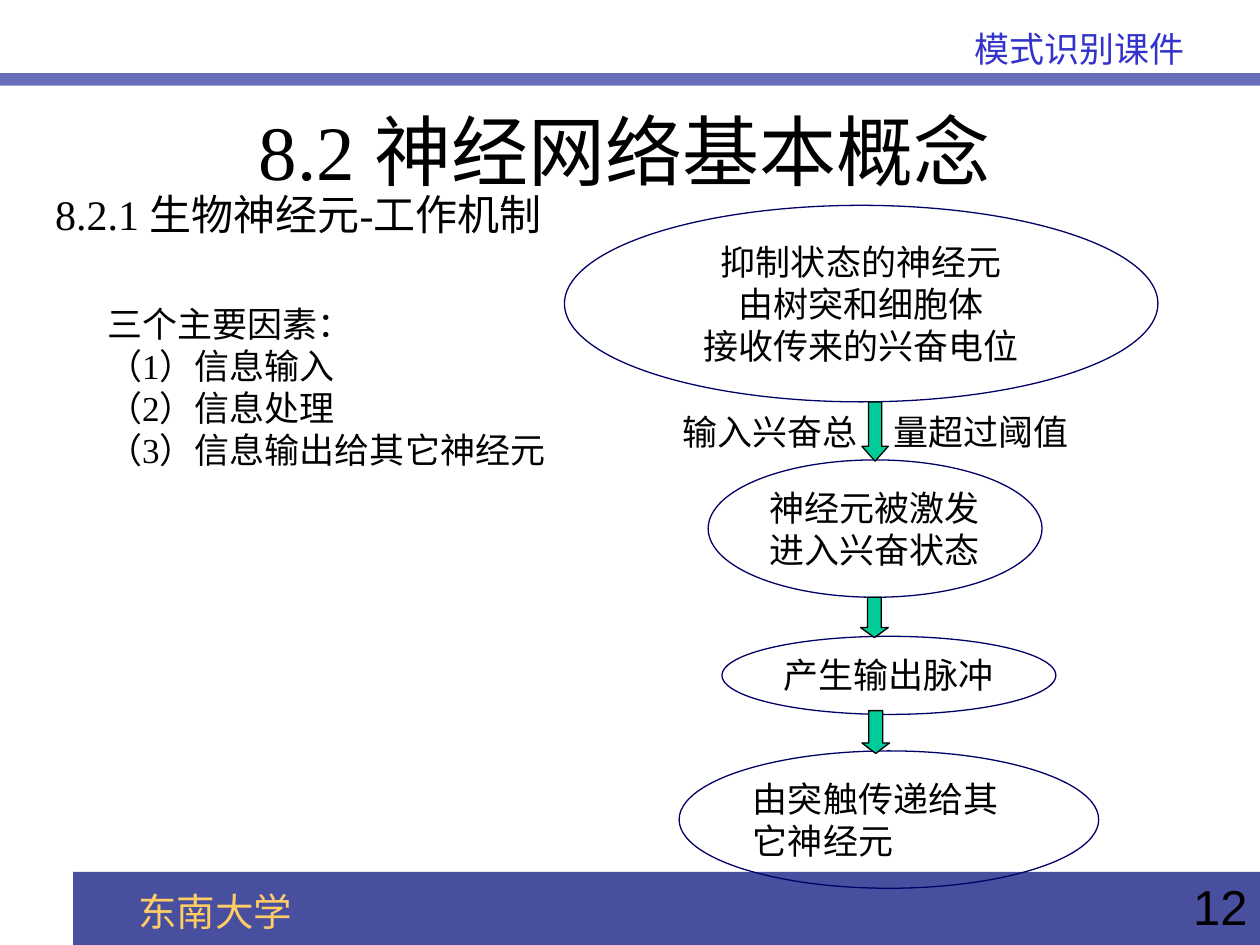
import pptx
import pptx.util
import pptx.dml.color
import pptx.enum.shapes
import pptx.enum.text
from pptx.util import Inches

RGBColor = pptx.dml.color.RGBColor
SHAPE = pptx.enum.shapes.MSO_SHAPE
ALIGN = pptx.enum.text.PP_ALIGN
ANCHOR = pptx.enum.text.MSO_ANCHOR

BLACK = RGBColor(0x00, 0x00, 0x00)
NAVY = RGBColor(0x00, 0x00, 0x66)
GREEN = RGBColor(0x00, 0xCC, 0x99)
FOOTER_BLUE = RGBColor(0x49, 0x4F, 0x9F)
HEADER_BLUE = RGBColor(0x68, 0x6E, 0xBA)
COURSE_BLUE = RGBColor(0x33, 0x33, 0xCC)
GOLD = RGBColor(0xFF, 0xCC, 0x66)


def write(shape, lines, size, font="Times New Roman", color=BLACK,
          align=ALIGN.LEFT, anchor=ANCHOR.TOP, wrap=True):
    """Fill a shape's text frame, one paragraph per line."""
    frame = shape.text_frame
    frame_format = {"auto_size": pptx.enum.text.MSO_AUTO_SIZE.NONE,
                    "word_wrap": wrap, "vertical_anchor": anchor}
    for name, value in frame_format.items():
        setattr(frame, name, value)
    frame.text = "\n".join(lines)
    for paragraph in frame.paragraphs:
        paragraph.alignment = align
        paragraph.space_before = pptx.util.Pt(0)
        for run in paragraph.runs:
            run_format = {"name": font, "size": pptx.util.Pt(size)}
            for name, value in run_format.items():
                setattr(run.font, name, value)
            run.font.color.rgb = color


def draw(kind, box, fill=None, line=None):
    """Add a preset shape without shadow; None means no fill or no line."""
    shape = slide.shapes.add_shape(kind, *map(Inches, box))
    shape.shadow.inherit = False
    if fill is None:
        shape.fill.background()
    else:
        shape.fill.solid()
        shape.fill.fore_color.rgb = fill
    if line is None:
        shape.line.fill.background()
    else:
        shape.line.color.rgb = line
        shape.line.width = pptx.util.Pt(0.75)
    return shape


deck = pptx.Presentation()
deck.slide_width, deck.slide_height = Inches(10), Inches(7.5)
slide = deck.slides.add_slide(deck.slide_layouts[1])

# Header and footer bands
draw(SHAPE.RECTANGLE, (0.58, 6.92, 9.42, 0.58), fill=FOOTER_BLUE)
draw(SHAPE.RECTANGLE, (0, 0.58, 10, 0.1), fill=HEADER_BLUE)

# Title and list of factors
title, factors = slide.placeholders
for placeholder, box in ((title, (0.75, 0.67, 8.42, 1.03)),
                         (factors, (0.75, 2.35, 3.71, 1.45))):
    for side, length in zip(("left", "top", "width", "height"), box):
        setattr(placeholder, side, Inches(length))
write(title, ["8.2 神经网络基本概念"], 44, align=ALIGN.CENTER,
      anchor=ANCHOR.MIDDLE)
write(factors, ["三个主要因素：", "（1）信息输入", "（2）信息处理",
                "（3）信息输出给其它神经元"], 20)
for paragraph in factors.text_frame.paragraphs:
    properties = paragraph._p.get_or_add_pPr()
    properties.set("marL", "0")
    properties.set("indent", "0")
    properties.append(pptx.oxml.parse_xml(
        f'<a:buNone {pptx.oxml.ns.nsdecls("a")}/>'))

# Labels; the threshold label is split around the first arrow
labels = [
    ("东南大学", (1, 7, 5, 0.47),
     {"size": 22, "font": "Roboto", "color": GOLD}),
    ("模式识别课件", (3.5, 0.17, 6, 0.44),
     {"size": 20, "font": "Roboto", "color": COURSE_BLUE,
      "align": ALIGN.RIGHT}),
    ("12", (9.35, 6.91, 0.65, 0.52),
     {"size": 28, "font": "Arial", "align": ALIGN.RIGHT}),
    ("8.2.1 生物神经元-工作机制", (0.34, 1.45, 4.1, 0.5), {"size": 24}),
    ("输入兴奋总", (5.32, 3.21, 1.63, 0.43), {"size": 20, "wrap": False}),
    ("量超过阈值", (6.95, 3.21, 1.63, 0.43),
     {"size": 20, "wrap": False, "align": ALIGN.RIGHT}),
]
for text, box, text_format in labels:
    write(slide.shapes.add_textbox(*map(Inches, box)), [text], **text_format)

# Stages of a neuron's work, from top to bottom
stages = [
    (["抑制状态的神经元", "由树突和细胞体", "接收传来的兴奋电位"],
     (4.48, 1.63, 4.71, 1.56),
     {"align": ALIGN.CENTER, "anchor": ANCHOR.MIDDLE}),
    (["神经元被激发", "进入兴奋状态"], (5.62, 3.65, 2.65, 1.09),
     {"wrap": False}),
    (["产生输出脉冲"], (5.73, 5.05, 2.65, 0.62), {"wrap": False}),
    (["由突触传递给其它神经元"], (5.39, 5.96, 3.33, 1.09), {}),
]
for lines, box, text_format in stages:
    write(draw(SHAPE.OVAL, box, line=NAVY), lines, 20, **text_format)

# Arrows between the stages
for box, head in (((6.84, 3.19, 0.21, 0.47), 0.56),
                  ((6.83, 4.74, 0.22, 0.32), 0.36),
                  ((6.84, 5.64, 0.22, 0.34), 0.38)):
    arrow = draw(SHAPE.DOWN_ARROW, box, fill=GREEN, line=BLACK)
    arrow.adjustments[1] = head

deck.save("out.pptx")
